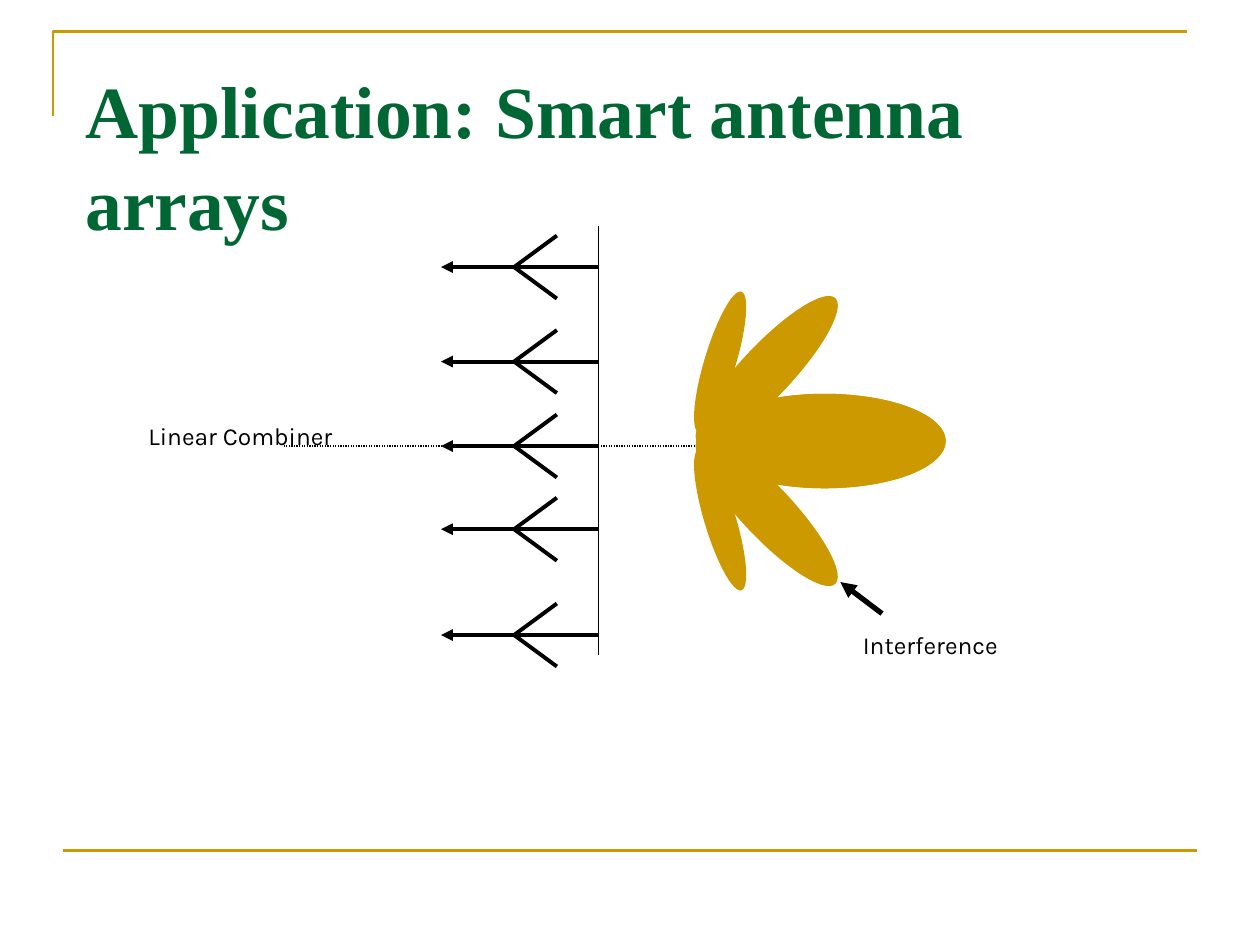
from lxml import etree
from pptx import Presentation
from pptx.dml.color import RGBColor
from pptx.enum.dml import MSO_LINE
from pptx.enum.shapes import MSO_CONNECTOR, MSO_SHAPE
from pptx.enum.text import MSO_ANCHOR, PP_ALIGN
from pptx.oxml.ns import qn
from pptx.util import Inches, Pt

STRAIGHT = MSO_CONNECTOR.STRAIGHT
OVAL = MSO_SHAPE.OVAL
DOTTED = MSO_LINE.ROUND_DOT
TOP = MSO_ANCHOR.TOP
LEFT = PP_ALIGN.LEFT

COLORS = {"gold": "CC9900", "green": "006633", "black": "000000"}
TITLE = {"name": "Times New Roman", "size": Pt(42), "bold": True}
LABEL = {"name": "Karla", "size": Pt(14), "bold": False}


class SlideBuilder:
    """Holds the colours and the current slide."""

    def __init__(self, slide, colors):
        self.slide = slide
        self.colors = {name: RGBColor.from_string(value) for name, value in colors.items()}

    def style_line(self, shape, color, width):
        shape.line.color.rgb = self.colors[color]
        shape.line.width = Pt(width)

    def line(self, start, end, color="black", width=2.25, arrow=False, dash=None):
        points = [Inches(value) for value in (*start, *end)]
        connector = self.slide.shapes.add_connector(STRAIGHT, *points)
        self.style_line(connector, color, width)
        if dash is not None:
            connector.line.dash_style = dash
        if arrow:
            outline = connector.line._get_or_add_ln()
            etree.SubElement(outline, qn("a:tailEnd"), type="triangle")
        etree.SubElement(connector._element.spPr, qn("a:effectLst"))

    def polyline(self, points, color, width):
        corners = [(Inches(x), Inches(y)) for x, y in points]
        builder = self.slide.shapes.build_freeform(*corners[0])
        builder.add_line_segments(corners[1:], close=False)
        shape = builder.convert_to_shape()
        shape.shadow.inherit = False
        shape.fill.background()
        self.style_line(shape, color, width)

    def text(self, content, box, font, color, spacing=1.0, top_margin=0.05):
        shape = self.slide.shapes.add_textbox(*[Inches(value) for value in box])
        frame_format = {
            "word_wrap": True,
            "vertical_anchor": TOP,
            "margin_top": Inches(top_margin),
            "margin_right": Inches(0.2),
        }
        for name, value in frame_format.items():
            setattr(shape.text_frame, name, value)
        paragraph = shape.text_frame.paragraphs[0]
        paragraph.alignment = LEFT
        paragraph.line_spacing = spacing
        run = paragraph.add_run()
        run.text = content
        for name, value in font.items():
            setattr(run.font, name, value)
        run.font.color.rgb = self.colors[color]

    def lobe(self, box, rotation, color="gold"):
        shape = self.slide.shapes.add_shape(OVAL, *[Inches(value) for value in box])
        shape.shadow.inherit = False
        shape.rotation = rotation
        shape.fill.solid()
        shape.fill.fore_color.rgb = self.colors[color]
        shape.line.fill.background()

    def antenna(self, y):
        fork = (4.08, y)
        for offset in (-0.25, 0.25):
            self.line((4.42, y + offset), fork)
        self.line(fork, (4.75, y))
        self.line((4.17, y), (3.5, y), arrow=True)


def main():
    presentation = Presentation()
    presentation.slide_width = Inches(10)
    presentation.slide_height = Inches(7.5)
    slide = presentation.slides.add_slide(presentation.slide_layouts[6])
    builder = SlideBuilder(slide, COLORS)

    # Frame and title
    builder.polyline([(0.42, 0.92), (0.42, 0.25), (9.42, 0.25)], "gold", 1.5)
    builder.line((0.5, 6.75), (9.5, 6.75), "gold", 1.5)
    builder.text("Application: Smart antenna arrays", (0.58, 0.4, 8.92, 1.25),
                 TITLE, "green", spacing=1.04, top_margin=0.09)

    # Antenna array with its reference plane and axis
    for y in (2.12, 2.87, 3.54, 4.2, 5.04):
        builder.antenna(y)
    builder.line((4.75, 1.79), (4.75, 5.2), width=0.75)
    builder.line((2.25, 3.54), (7.25, 3.54), width=0.75, dash=DOTTED)

    # Labels
    builder.text("Linear Combiner", (1.08, 3.29, 1.92, 0.33), LABEL, "black")
    builder.text("Interference", (6.75, 4.95, 1.92, 0.33), LABEL, "black")

    # Beam pattern: each lobe is mirrored about the beam axis
    axis = 3.5
    for left, top, width, height, angle in (
        (5.59, 2.29, 0.25, 1.17, 16.8),
        (6.17, 2.54, 0.75, 1.92, 90),
        (5.88, 2.15, 0.41, 1.59, 43.2),
    ):
        builder.lobe((left, top, width, height), angle)
        builder.lobe((left, 2 * axis - top - height, width, height), 360 - angle)

    # Interference pointer
    builder.line((7, 4.87), (6.67, 4.62), width=3, arrow=True)

    presentation.save("out.pptx")


if __name__ == "__main__":
    main()
